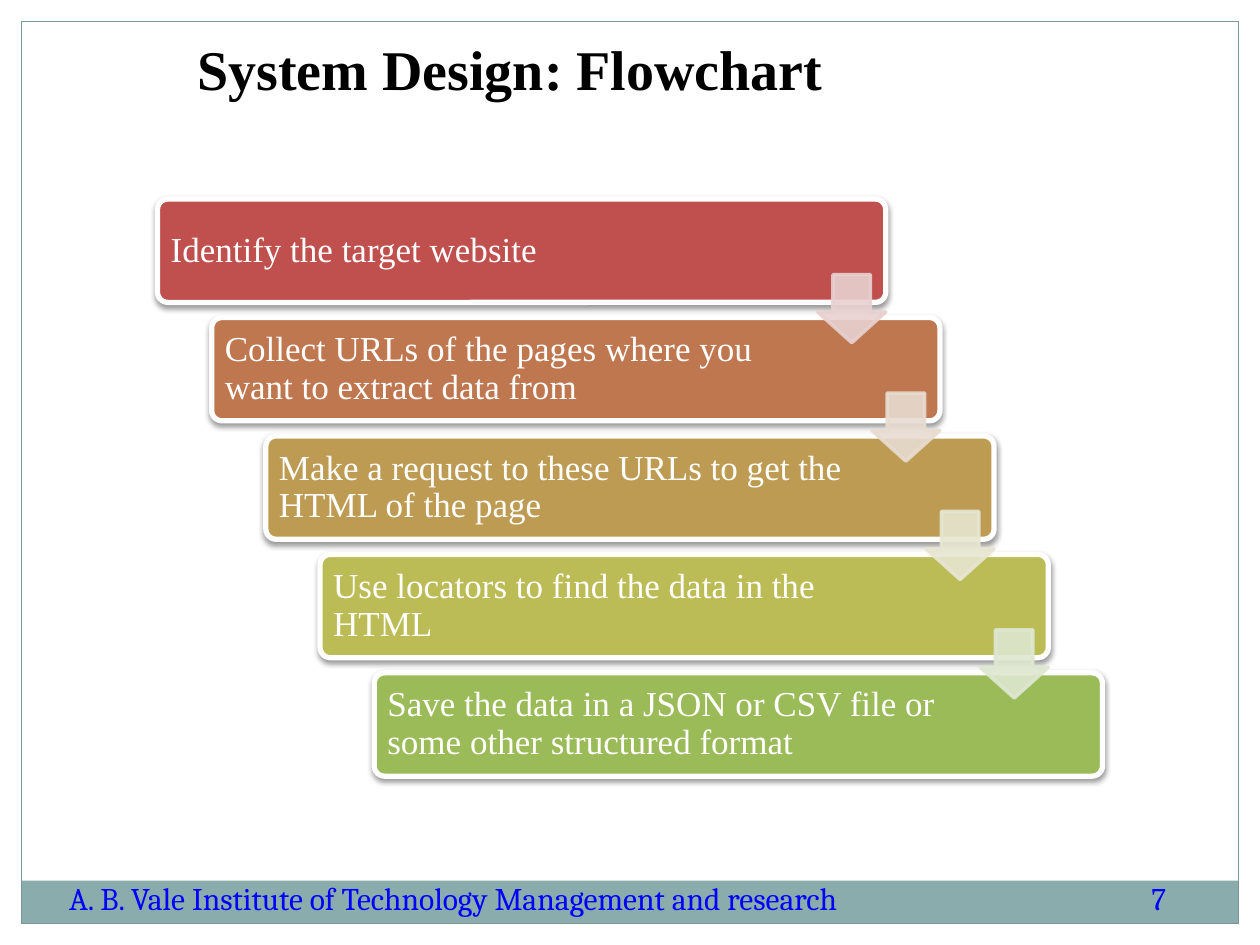
from lxml import etree
from pptx import Presentation
from pptx.dml.color import RGBColor
from pptx.enum.shapes import MSO_SHAPE
from pptx.enum.text import MSO_ANCHOR, PP_ALIGN
from pptx.oxml.ns import qn
from pptx.util import Inches, Pt

RECT, BAR = MSO_SHAPE.RECTANGLE, MSO_SHAPE.ROUNDED_RECTANGLE
ARROW = MSO_SHAPE.DOWN_ARROW
MIDDLE = MSO_ANCHOR.MIDDLE
LEFT, CENTER = PP_ALIGN.LEFT, PP_ALIGN.CENTER
SERIF, FOOTER_FONT = "Times New Roman", "Cambria"

# Step text, bar colour, colour of the arrow to the next step
STEPS = [
    ("Identify the target website", "C0504D", "E8D0D0"),
    ("Collect URLs of the pages where you want to extract data from", "BF7750", "E8DCD0"),
    ("Make a request to these URLs to get the HTML of the page", "BD9B53", "E7E6D1"),
    ("Use locators to find the data in the HTML", "BCBC56", "DEE7D1"),
    ("Save the data in a JSON or CSV file or some other structured format", "9BBB59", None),
]


def paint(color_format, color):
    color_format.rgb = RGBColor.from_string(color)


def add_panel(slide, kind, box, fill=None, line=None, weight=1):
    panel = slide.shapes.add_shape(kind, *map(Inches, box))
    panel.shadow.inherit = False
    if fill:
        panel.fill.solid()
        paint(panel.fill.fore_color, fill)
    else:
        panel.fill.background()
    if line:
        paint(panel.line.color, line)
        panel.line.width = Pt(weight)
    else:
        panel.line.fill.background()
    return panel


def write(shape, text, size, font, color, align=LEFT, bold=False):
    frame = shape.text_frame
    frame.word_wrap = True
    frame.vertical_anchor = MIDDLE
    frame.text = text
    paragraph = frame.paragraphs[0]
    paragraph.alignment = align
    paragraph.font.size = Pt(size)
    paragraph.font.name = font
    paragraph.font.bold = bold
    paint(paragraph.font.color, color)
    return frame


def set_alpha(element, percent):
    for color in element.iter(qn("a:srgbClr")):
        etree.SubElement(color, qn("a:alpha"), val=str(percent * 1000))


def add_soft_shadow(shape):
    effects = shape.element.spPr.find(qn("a:effectLst"))
    shadow = etree.SubElement(effects, qn("a:outerShdw"), blurRad=str(Pt(3.1)),
                              dist=str(Pt(1.6)), dir="5400000", rotWithShape="0")
    etree.SubElement(shadow, qn("a:srgbClr"), val="000000")
    set_alpha(shadow, 38)


def add_frame(slide, left, top, width, height):
    band = 0.34
    add_panel(slide, RECT, (left, top + height - band, width, band), fill="8BACAD")
    add_panel(slide, RECT, (left, top, width, height), line="7A9798", weight=0.74)


def add_title(slide, left, top, width, height):
    title = slide.shapes.title
    title.left, title.top = Inches(left), Inches(top)
    title.width, title.height = Inches(width), Inches(height)
    frame = write(title, "System Design: Flowchart", 32, SERIF, "000000", CENTER, True)
    # A wide right margin sets the heading left of the slide's centre
    frame.margin_right = Inches(2)


def add_footer(slide, left, top, height):
    institute = "A. B. Vale Institute of Technology Management and research"
    for offset, width, text in ((0, 7.31, institute), (8.59, 0.64, "7")):
        box = slide.shapes.add_textbox(Inches(left + offset), Inches(top),
                                       Inches(width), Inches(height))
        write(box, text, 18, FOOTER_FONT, "0000FF")


def add_step(slide, left, top, width, height, text, color):
    bar = add_panel(slide, BAR, (left, top, width, height), color, "FFFFFF", 3)
    bar.adjustments[0] = 0.1
    add_soft_shadow(bar)
    frame = write(bar, text, 20, SERIF, "FFFFFF")
    frame.margin_left = frame.margin_top = frame.margin_bottom = Inches(0.08)
    frame.margin_right = Inches(1.03)
    frame.paragraphs[0].line_spacing = 0.9


def add_step_arrow(slide, left, top, size, color):
    arrow = add_panel(slide, ARROW, (left, top, size, size), color, color, 2)
    arrow.adjustments[0], arrow.adjustments[1] = 0.55, 0.45
    set_alpha(arrow.element.spPr, 90)


def add_flowchart(slide, left, top, width, height):
    bar_width, bar_height, arrow_size = 5.78, 0.82, 0.54
    step_x = (width - bar_width) / (len(STEPS) - 1)
    step_y = (height - bar_height) / (len(STEPS) - 1)
    for i, (text, color, _) in enumerate(STEPS):
        add_step(slide, left + i * step_x, top + i * step_y,
                 bar_width, bar_height, text, color)
    # Arrows overlap the right end of each pair of bars
    for i, (_, _, color) in enumerate(STEPS[:-1]):
        add_step_arrow(slide, left + i * step_x + bar_width - arrow_size,
                       top + i * step_y + 0.6, arrow_size, color)


prs = Presentation()
prs.slide_width, prs.slide_height = Inches(10), Inches(7.5)
slide = prs.slides.add_slide(prs.slide_layouts[5])
add_frame(slide, 0.17, 0.17, 9.66, 7.16)
add_title(slide, 0.5, 0.25, 9, 0.58)
add_footer(slide, 0.45, 6.75, 0.75)
add_flowchart(slide, 1.25, 1.58, 7.5, 4.58)
prs.save("out.pptx")
